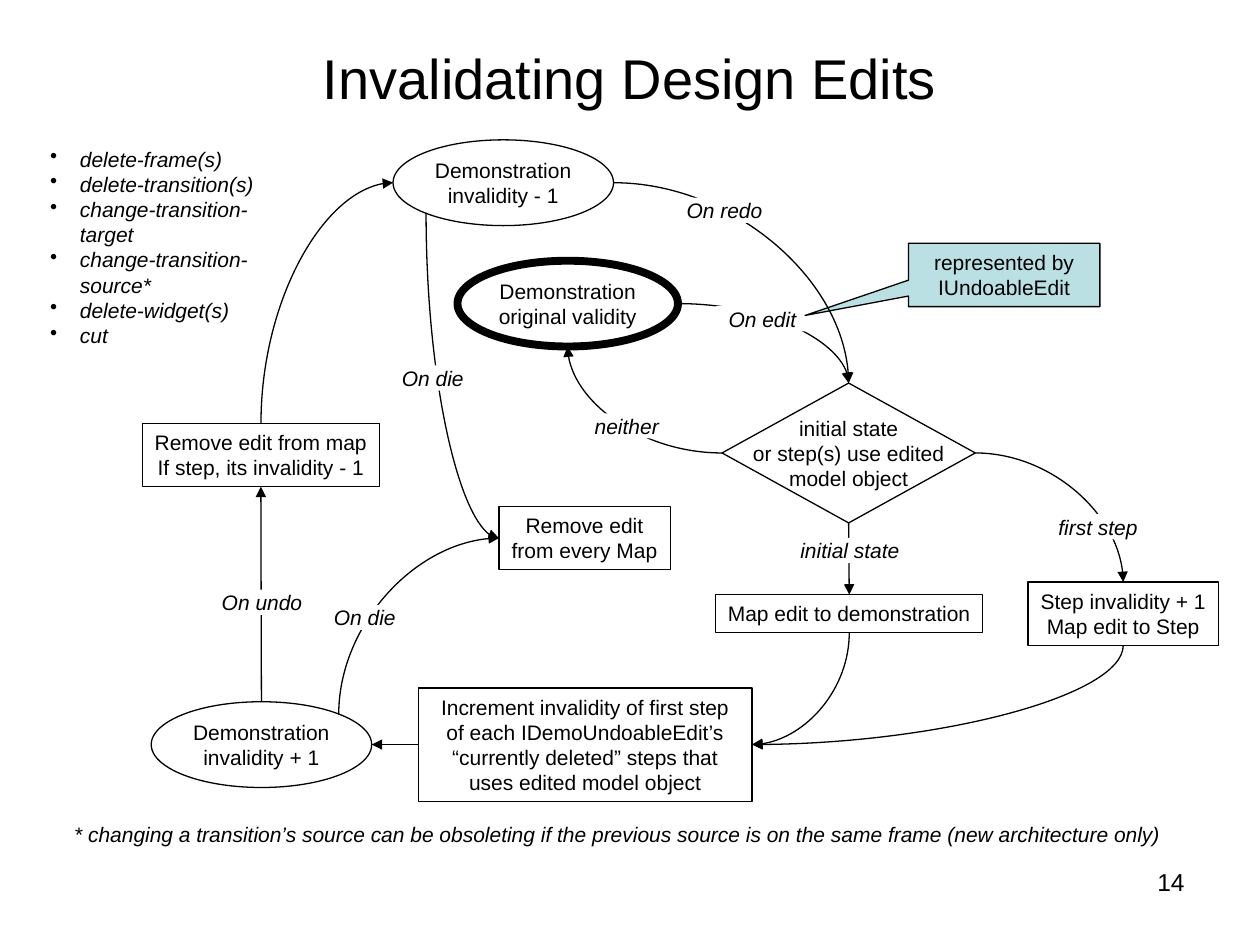
from lxml import etree
from pptx import Presentation
from pptx.dml.color import RGBColor
from pptx.enum.shapes import MSO_CONNECTOR, MSO_SHAPE
from pptx.enum.text import MSO_ANCHOR, PP_ALIGN
from pptx.oxml.ns import qn
from pptx.util import Pt

RECTANGLE, ELLIPSE = MSO_SHAPE.RECTANGLE, MSO_SHAPE.OVAL
DECISION, CALLOUT = MSO_SHAPE.FLOWCHART_DECISION, MSO_SHAPE.RECTANGULAR_CALLOUT
STRAIGHT, CURVE = MSO_CONNECTOR.STRAIGHT, MSO_CONNECTOR.CURVE
LEFT, CENTER, RIGHT = PP_ALIGN.LEFT, PP_ALIGN.CENTER, PP_ALIGN.RIGHT
TOP, MIDDLE = MSO_ANCHOR.TOP, MSO_ANCHOR.MIDDLE

THEME = {
    "font": "Arial", "ink": RGBColor(0, 0, 0), "paper": RGBColor(255, 255, 255),
    "note": RGBColor(0xBB, 0xE0, 0xE3),
    "title": 32, "number": 14, "body": 12, "thin": 0.75, "thick": 4.5,
}

TITLE = ("Invalidating Design Edits", (36, 21.6, 648, 44.6))
NUMBER = ("14", (558, 491.8, 126, 37.4))
FOOTNOTE = ("* changing a transition’s source can be obsoleting if the previous source "
            "is on the same frame (new architecture only)", (35.3, 469.4, 635.8, 14.4))
EDITS = (["delete-frame(s)", "delete-transition(s)", "change-transition-target",
          "change-transition-source*", "delete-widget(s)", "cut"], (21.6, 83.5, 152, 86.4))
NOTE = (["represented by", "IUndoableEdit"], (519.1, 139, 109.4, 36.2), (-1.04, 0.64))

NODES = {
    "original": (ELLIPSE, (261.4, 149, 126, 49), ["Demonstration", "original validity"]),
    "plus": (ELLIPSE, (86.4, 401, 126, 49), ["Demonstration", "invalidity + 1"]),
    "minus": (ELLIPSE, (224.6, 79.9, 126, 49), ["Demonstration", "invalidity - 1"]),
    "decision": (DECISION, (412.6, 218.9, 144.7, 79.9),
                 ["initial state", "or step(s) use edited", "model object"]),
    "step": (RECTANGLE, (587.5, 332.6, 108.7, 36.2), ["Step invalidity + 1", "Map edit to Step"]),
    "map": (RECTANGLE, (409, 339.8, 152.6, 21.8), ["Map edit to demonstration"]),
    "unmap": (RECTANGLE, (81.4, 241.9, 135.4, 36.2),
              ["Remove edit from map", "If step, its invalidity - 1"]),
    "increment": (RECTANGLE, (239, 393.1, 190.8, 64.8),
                  ["Increment invalidity of first step of each IDemoUndoableEdit’s "
                   "“currently deleted” steps that uses edited model object"]),
    "remove": (RECTANGLE, (285.1, 289.4, 97.9, 36.2), ["Remove edit", "from every Map"]),
}

SIDES = {
    "left": (0, 0.5), "right": (1, 0.5), "top": (0.5, 0), "bottom": (0.5, 1),
    "top corner": (0.85, 0.15), "bottom corner": (0.15, 0.85),
}
HORIZONTAL = ("left", "right")

FLOWS = [
    ("plus", "top", "unmap", "bottom", "On undo", (119.5, 337, 60.5)),
    ("original", "right", "decision", "top", "On edit", (409, 175, 53.3)),
    ("decision", "left", "original", "bottom", "neither", (332.6, 236.2, 51.1)),
    ("decision", "right", "step", "top", "first step", (597.6, 293.8, 59.8)),
    ("decision", "bottom", "map", "top", "initial state", (450, 307.4, 71.3)),
    ("map", "bottom", "increment", "right", None, None),
    ("step", "bottom", "increment", "right", None, None),
    ("increment", "left", "plus", "right", None, None),
    ("unmap", "top", "minus", "left", None, None),
    ("plus", "top corner", "remove", "left", "On die", (183.6, 345.6, 49.7)),
    ("minus", "bottom corner", "remove", "left", "On die", (222.5, 208.8, 49.7)),
]
REDO = ("minus", "right", "decision", "top", "On redo", (385.2, 113, 57.6))
LABEL_HEIGHT = 14.4
BULLET_INDENT = 17


def points(values):
    return [Pt(value) for value in values]


def write_text(shape, lines, size=THEME["body"], italic=False, align=CENTER,
               anchor=TOP, wrap=False, padding=3.6, bullets=False):
    frame = shape.text_frame
    frame.word_wrap = wrap
    frame.vertical_anchor = anchor
    frame.margin_left = frame.margin_right = Pt(7.2)
    frame.margin_top = frame.margin_bottom = Pt(padding)
    for index, line in enumerate(lines):
        paragraph = frame.paragraphs[0] if index == 0 else frame.add_paragraph()
        paragraph.alignment = align
        if bullets:
            properties = paragraph._p.get_or_add_pPr()
            properties.set("marL", str(Pt(BULLET_INDENT)))
            properties.set("indent", str(-Pt(BULLET_INDENT)))
            etree.SubElement(properties, qn("a:buChar")).set("char", "•")
        run = paragraph.add_run()
        run.text = line
        run.font.name = THEME["font"]
        run.font.size = Pt(size)
        run.font.italic = italic
        run.font.color.rgb = THEME["ink"]


def add_box(slide, kind, box, lines, fill=None, line_width=None, **text_format):
    shape = slide.shapes.add_shape(kind, *points(box))
    shape.shadow.inherit = False
    if fill is None:
        shape.fill.background()
    else:
        shape.fill.solid()
        shape.fill.fore_color.rgb = fill
    if line_width is None:
        shape.line.fill.background()
    else:
        shape.line.color.rgb = THEME["ink"]
        shape.line.width = Pt(line_width)
    write_text(shape, lines, **text_format)
    return shape


def add_plain_text(slide, text, box, **text_format):
    write_text(slide.shapes.add_textbox(*points(box)), [text], wrap=True, **text_format)


def add_caption(slide, lines, box, **text_format):
    add_box(slide, RECTANGLE, box, lines, fill=THEME["paper"], italic=True,
            padding=0, **text_format)


def anchor_point(node, side):
    left, top, width, height = NODES[node][1]
    across, down = SIDES[side]
    return left + across * width, top + down * height


def add_flow(slide, source, source_side, target, target_side, label, place):
    start_x, start_y = anchor_point(source, source_side)
    end_x, end_y = anchor_point(target, target_side)
    leaves_sideways = source_side in HORIZONTAL
    curved = leaves_sideways != (target_side in HORIZONTAL)
    turned = curved and not leaves_sideways
    if turned:
        middle_x, middle_y = (start_x + end_x) / 2, (start_y + end_y) / 2
        half_x, half_y = (end_y - start_y) / 2, (start_x - end_x) / 2
        start_x, start_y = middle_x - half_x, middle_y - half_y
        end_x, end_y = middle_x + half_x, middle_y + half_y
    connector = slide.shapes.add_connector(
        CURVE if curved else STRAIGHT, *points((start_x, start_y, end_x, end_y)))
    connector.line.color.rgb = THEME["ink"]
    connector.line.width = Pt(THEME["thin"])
    properties = connector._element.spPr
    if curved:
        properties.find(qn("a:prstGeom")).set("prst", "curvedConnector2")
    if turned:
        properties.find(qn("a:xfrm")).set("rot", "5400000")
    etree.SubElement(properties.find(qn("a:ln")), qn("a:tailEnd")).set("type", "triangle")
    etree.SubElement(properties, qn("a:effectLst"))
    if label:
        add_caption(slide, [label], (*place, LABEL_HEIGHT))


def main():
    presentation = Presentation()
    presentation.slide_width, presentation.slide_height = Pt(720), Pt(540)
    slide = presentation.slides.add_slide(presentation.slide_layouts[6])

    add_plain_text(slide, *TITLE, size=THEME["title"], anchor=MIDDLE)
    lines, box = EDITS
    add_caption(slide, lines, box, align=LEFT, wrap=True, bullets=True)
    for name, (kind, box, lines) in NODES.items():
        boxed = kind == RECTANGLE
        add_box(slide, kind, box, lines,
                fill=THEME["paper"] if boxed else None,
                line_width=THEME["thick" if name == "original" else "thin"],
                anchor=TOP if boxed else MIDDLE, wrap=name == "increment")
    for flow in FLOWS:
        add_flow(slide, *flow)
    lines, box, tip = NOTE
    note = add_box(slide, CALLOUT, box, lines, fill=THEME["note"],
                   line_width=THEME["thin"], wrap=True)
    note.adjustments[0], note.adjustments[1] = tip
    add_flow(slide, *REDO)
    text, box = FOOTNOTE
    add_caption(slide, [text], box, align=LEFT)
    add_plain_text(slide, *NUMBER, size=THEME["number"], align=RIGHT)
    presentation.save("out.pptx")


if __name__ == "__main__":
    main()
